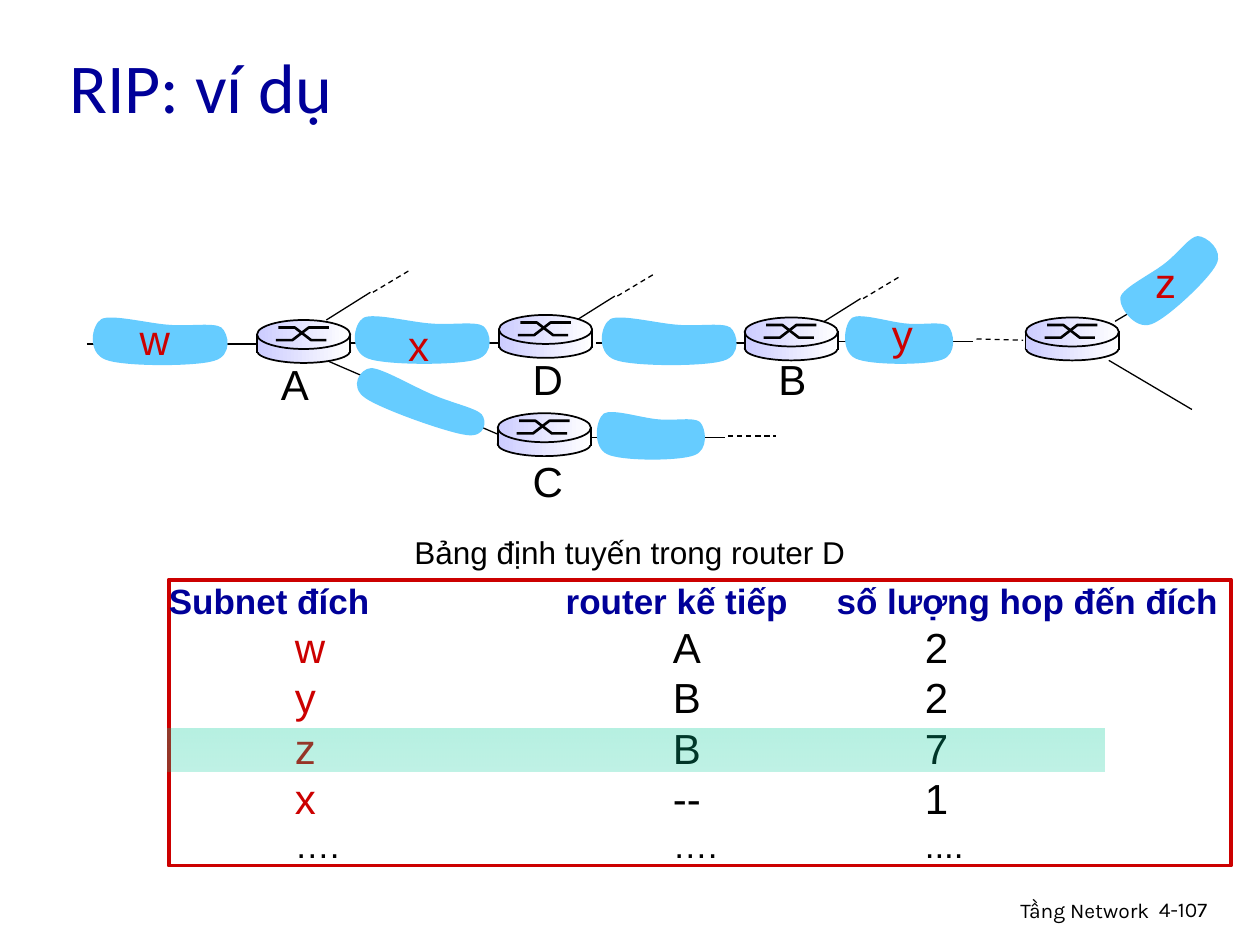
"""Build the RIP routing example slide: router network above D's routing table."""
from typing import NamedTuple

from lxml import etree
from pptx import Presentation
from pptx.dml.color import RGBColor
from pptx.enum.dml import MSO_LINE
from pptx.enum.shapes import MSO_CONNECTOR, MSO_SHAPE
from pptx.enum.text import MSO_ANCHOR, MSO_AUTO_SIZE, PP_ALIGN
from pptx.oxml.ns import qn
from pptx.util import Inches, Pt

BLACK = RGBColor(0x00, 0x00, 0x00)
NAVY = RGBColor(0x00, 0x00, 0x99)
RED = RGBColor(0xCC, 0x00, 0x00)
SKY = RGBColor(0x66, 0xCC, 0xFF)
LILAC = RGBColor(0xCC, 0xCC, 0xFF)
WHITE = RGBColor(0xFF, 0xFF, 0xFF)
GREEN = RGBColor(0x00, 0xCC, 0x99)
RECT, OVAL = MSO_SHAPE.RECTANGLE, MSO_SHAPE.OVAL
STRAIGHT = MSO_CONNECTOR.STRAIGHT
DASH = MSO_LINE.DASH
TOP, MIDDLE = MSO_ANCHOR.TOP, MSO_ANCHOR.MIDDLE
LEFT, RIGHT = PP_ALIGN.LEFT, PP_ALIGN.RIGHT
FIT = MSO_AUTO_SIZE.SHAPE_TO_FIT_TEXT


class Box(NamedTuple):
    x: float
    y: float
    w: float
    h: float


class Link(NamedTuple):
    x1: float
    y1: float
    x2: float
    y2: float
    width: float = 0.75
    dashed: bool = False


class Subnet(NamedTuple):
    box: Box
    angle: float = 0


class Label(NamedTuple):
    text: str
    box: Box
    color: RGBColor
    size: float = 24


class Row(NamedTuple):
    subnet: str
    router: str
    hops: str
    color: RGBColor = RED
    size: float = 24


BLOB = [(0.57, 0.21), (0.43, 0.19), (0.17, 0), (0.1, 0.1), (0.03, 0.21), (0, 0.74),
        (0.13, 0.87), (0.25, 1), (0.74, 1), (0.87, 0.89), (1, 0.79), (0.97, 0.37),
        (0.92, 0.26), (0.87, 0.16), (0.7, 0.24), (0.57, 0.21)]
CROSS = [[(0.15, 0.16), (0.28, 0.16), (0.41, 0.06), (0.57, 0.06)],
         [(0.17, 0.06), (0.3, 0.06), (0.43, 0.16), (0.55, 0.16)]]
LINKS = [Link(6.65, 2.71, 7.72, 2.71), Link(2.77, 2.72, 4.12, 2.72, 1),
         Link(4.73, 2.72, 6.09, 2.72, 1), Link(0.69, 2.73, 2.05, 2.73, 1),
         Link(8.85, 2.55, 9.51, 2.16), Link(8.8, 2.86, 9.46, 3.25),
         Link(2.59, 2.86, 3.96, 3.45), Link(4.68, 3.47, 5.75, 3.47),
         Link(7.75, 2.69, 8.12, 2.7, dashed=True), Link(5.78, 3.46, 6.16, 3.46, dashed=True)]
BRANCHES = [(6.48, 2.59), (4.53, 2.57), (2.59, 2.54)]
SUBNETS = [Subnet(Box(2.77, 2.48, 1.16, 0.42)), Subnet(Box(2.76, 3.04, 1.16, 0.31), 19.7),
           Subnet(Box(0.69, 2.49, 1.16, 0.42)), Subnet(Box(4.73, 2.49, 1.16, 0.42)),
           Subnet(Box(6.67, 2.48, 0.93, 0.42)), Subnet(Box(8.81, 2.01, 0.95, 0.42), 316.8),
           Subnet(Box(4.7, 3.24, 0.93, 0.42))]
ROUTERS = [(3.96, 2.5), (5.91, 2.52), (8.14, 2.52), (3.95, 3.28), (2.04, 2.54)]
LABELS = [Label("w", Box(1.01, 2.44, 0.44, 0.5), RED), Label("x", Box(3.14, 2.49, 0.36, 0.5), RED),
          Label("y", Box(6.98, 2.4, 0.36, 0.5), RED), Label("z", Box(9.07, 1.99, 0.36, 0.5), RED),
          Label("A", Box(2.13, 2.8, 0.42, 0.5), BLACK), Label("C", Box(4.13, 3.57, 0.44, 0.5), BLACK),
          Label("D", Box(4.13, 2.76, 0.44, 0.5), BLACK), Label("B", Box(6.08, 2.76, 0.42, 0.5), BLACK),
          Label("Bảng định tuyến trong router D", Box(3.19, 4.18, 3.62, 0.4), BLACK, 18)]
ROWS = [Row("w", "A", "2"), Row("y", "B", "2"), Row("z", "B", "7"), Row("x", "--", "1"),
        Row("….", "….", "....", BLACK, 20)]


def inches(values) -> list:
    return [Inches(v) for v in values]


def add_run(p, text: str, size: float, color: RGBColor, font: str = "Arial", bold: bool = False) -> None:
    r = p.add_run()
    r.text = text
    r.font.size, r.font.name, r.font.bold = Pt(size), font, bold
    r.font.color.rgb = color


def add_text(s, label: Label, font: str = "Arial", wrap: bool = False, align=LEFT, anchor=TOP) -> None:
    tf = s.shapes.add_textbox(*inches(label.box)).text_frame
    tf.word_wrap, tf.vertical_anchor = wrap, anchor
    if not wrap:
        tf.auto_size = FIT
    p = tf.paragraphs[0]
    p.alignment = align
    add_run(p, label.text, label.size, label.color, font)


def add_link(shapes, link: Link) -> None:
    c = shapes.add_connector(STRAIGHT, *inches(link[:4]))
    c.line.color.rgb, c.line.width = BLACK, Pt(link.width)
    if link.dashed:
        c.line.dash_style = DASH
    etree.SubElement(c._element.spPr, qn("a:effectLst"))


def add_subnet(s, subnet: Subnet) -> None:
    x, y, w, h = subnet.box
    points = [tuple(inches((x + u * w, y + v * h))) for u, v in BLOB]
    builder = s.shapes.build_freeform(*points[0])
    builder.add_line_segments(points[1:], close=True)
    sp = builder.convert_to_shape()
    segments = sp._element.xpath(".//a:lnTo")
    for i in range(0, len(BLOB) - 1, 3):
        curve = etree.Element(qn("a:cubicBezTo"))
        segments[i].addprevious(curve)
        for segment in segments[i:i + 3]:
            curve.append(segment[0])
            segment.getparent().remove(segment)
    sp.shadow.inherit = False
    sp.fill.solid()
    sp.fill.fore_color.rgb = SKY
    sp.line.fill.background()
    sp.rotation = subnet.angle


def add_gradient(shapes, kind, box: Box, colors, angle: float = 0, outline: bool = False, alphas=()) -> None:
    sp = shapes.add_shape(kind, *inches(box))
    sp.shadow.inherit = False
    sp.fill.gradient()
    sp.fill.gradient_angle = angle
    for stop, color in zip(sp.fill.gradient_stops, colors):
        stop.color.rgb = color
    for node, alpha in zip(sp._element.xpath(".//a:gs/a:srgbClr"), alphas):
        etree.SubElement(node, qn("a:alpha"), val=str(alpha * 1000))
    if outline:
        sp.line.color.rgb, sp.line.width = BLACK, Pt(1)
    else:
        sp.line.fill.background()


def add_router(s, x: float, y: float) -> None:
    shapes = s.shapes.add_group_shape().shapes
    body = (LILAC, WHITE)
    add_gradient(shapes, OVAL, Box(x, y + 0.15, 0.74, 0.19), body, outline=True)
    add_gradient(shapes, RECT, Box(x, y + 0.13, 0.74, 0.12), body)
    add_gradient(shapes, OVAL, Box(x, y, 0.74, 0.23), body, outline=True)
    for stroke in CROSS:
        points = [tuple(inches((x + dx, y + dy))) for dx, dy in stroke]
        builder = shapes.build_freeform(*points[0])
        builder.add_line_segments(points[1:], close=False)
        sp = builder.convert_to_shape()
        sp.shadow.inherit = False
        sp.fill.background()
        sp.line.color.rgb, sp.line.width = BLACK, Pt(1.5)
    for side in (x, x + 0.74):
        add_link(shapes, Link(side, y + 0.11, side, y + 0.26, 1))


def set_tabs(p, stops) -> None:
    tabs = etree.SubElement(p._p.get_or_add_pPr(), qn("a:tabLst"))
    for stop in stops:
        etree.SubElement(tabs, qn("a:tab"), pos=str(Inches(stop)), algn="l")


def add_routing_table(s) -> None:
    sp = s.shapes.add_shape(RECT, *inches(Box(1.34, 4.6, 8.43, 2.27)))
    sp.shadow.inherit = False
    sp.fill.background()
    sp.line.color.rgb, sp.line.width = RED, Pt(2.25)
    tf = sp.text_frame
    tf.word_wrap, tf.vertical_anchor = True, TOP
    tf.margin_left = tf.margin_top = tf.margin_right = tf.margin_bottom = 0
    p = tf.paragraphs[0]
    set_tabs(p, (3.15, 5.3))
    p.alignment = LEFT
    add_run(p, "Subnet đích\trouter kế tiếp\tsố lượng hop đến đích", 20, NAVY, bold=True)
    for row in ROWS:
        p = tf.add_paragraph()
        set_tabs(p, (1, 4, 6))
        p.alignment = LEFT
        add_run(p, f"\t{row.subnet}", row.size, row.color)
        add_run(p, f"\t{row.router}\t{row.hops}", row.size, BLACK)


def main() -> None:
    prs = Presentation()
    prs.slide_width, prs.slide_height = Inches(10), Inches(7.5)
    s = prs.slides.add_slide(prs.slide_layouts[6])
    add_text(s, Label("Tầng Network", Box(6.05, 7.07, 3.17, 0.31), BLACK, 12), "Karla", True, RIGHT)
    add_text(s, Label("4-107", Box(9.1, 7.07, 0.74, 0.3), BLACK, 12), "Karla", True)
    add_text(s, Label("RIP: ví dụ", Box(0.45, 0.21, 4.31, 0.94), NAVY, 40), "Calibri", True, anchor=MIDDLE)
    add_routing_table(s)
    for link in LINKS:
        add_link(s.shapes, link)
    for x, y in BRANCHES:
        add_link(s.shapes, Link(x, y, x + 0.35, y - 0.22))
        add_link(s.shapes, Link(x + 0.37, y - 0.22, x + 0.67, y - 0.4, dashed=True))
    for subnet in SUBNETS:
        add_subnet(s, subnet)
    for label in LABELS:
        add_text(s, label)
    add_gradient(s.shapes, RECT, Box(1.33, 5.78, 7.44, 0.34), (GREEN, GREEN), 270, alphas=(29, 25))
    for x, y in ROUTERS:
        add_router(s, x, y)
    prs.save("out.pptx")


if __name__ == "__main__":
    main()
